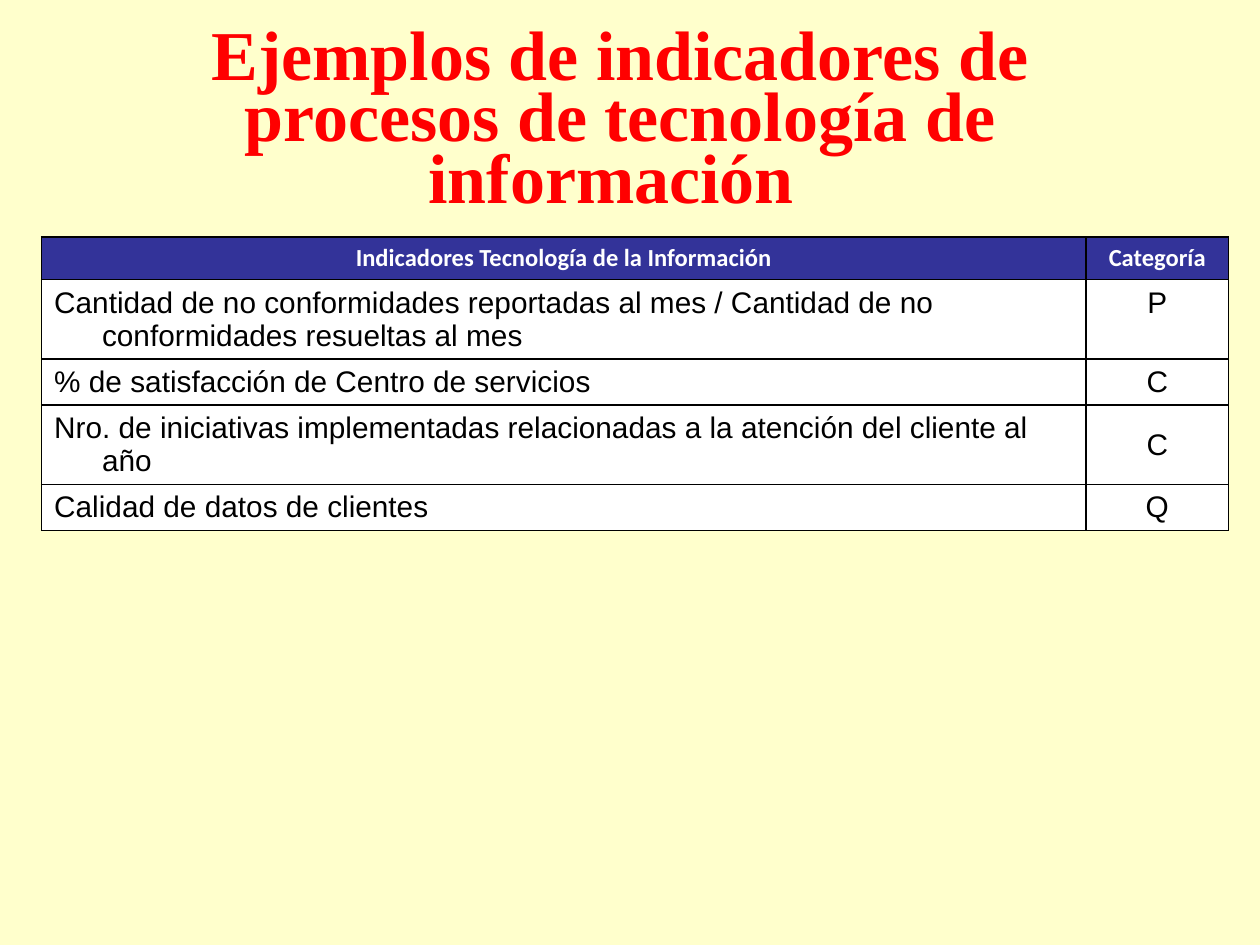
from lxml.etree import SubElement
from pptx import Presentation
from pptx.dml.color import RGBColor
from pptx.enum.text import MSO_ANCHOR, PP_ALIGN
from pptx.oxml.ns import qn
from pptx.util import Inches, Pt

COLORS = {
    "background": "FFFFCC",
    "title": "FF0000",
    "header": "333399",
    "header_text": "FFFFFF",
    "body": "FFFFFF",
    "body_text": "000000",
    "border": "000000",
}
HEADERS = ("Indicadores Tecnología de la Información", "Categoría")
INDICATORS = [
    ("Cantidad de no conformidades reportadas al mes / Cantidad de no "
     "conformidades resueltas al mes", "P"),
    ("% de satisfacción de Centro de servicios", "C"),
    ("Nro. de iniciativas implementadas relacionadas a la atención del cliente al año", "C"),
    ("Calidad de datos de clientes", "Q"),
]
COLUMN_WIDTHS = (8.29, 1.13)
ROW_HEIGHTS = (0.34, 0.63, 0.36, 0.63, 0.36)


def color(name):
    return RGBColor.from_string(COLORS[name])


def format_font(font, name, size, color_name, bold=False):
    font.name = name
    font.size = Pt(size)
    font.bold = bold
    font.color.rgb = color(color_name)


def add_title(page, text):
    box = page.shapes.add_textbox(Inches(0.98), Inches(0.44), Inches(7.88), Inches(1.08))
    frame = box.text_frame
    frame.word_wrap = True
    frame.vertical_anchor = MSO_ANCHOR.MIDDLE
    frame.text = text
    para = frame.paragraphs[0]
    para.alignment = PP_ALIGN.CENTER
    para.line_spacing = 0.73
    format_font(para.runs[0].font, "Times New Roman", 40, "title", bold=True)


def add_borders(cell):
    """Draw a thin line on all four sides; lines must precede the fill."""
    properties = cell._tc.get_or_add_tcPr()
    for side in ("a:lnL", "a:lnR", "a:lnT", "a:lnB"):
        line = SubElement(properties, qn(side), w=str(Pt(1)))
        fill = SubElement(line, qn("a:solidFill"))
        SubElement(fill, qn("a:srgbClr"), val=COLORS["border"])


def fill_cell(cell, text, is_header, centered, anchor):
    add_borders(cell)
    cell.fill.solid()
    cell.fill.fore_color.rgb = color("header" if is_header else "body")
    cell.vertical_anchor = anchor
    cell.text_frame.text = text
    para = cell.text_frame.paragraphs[0]
    para.alignment = PP_ALIGN.CENTER if centered else PP_ALIGN.LEFT
    hanging = Inches(0.38)
    properties = para._p.get_or_add_pPr()
    properties.set("marL", str(hanging))
    properties.set("indent", str(-hanging))
    font = para.runs[0].font
    if is_header:
        format_font(font, "Calibri", 14, "header_text", bold=True)
    else:
        format_font(font, "Arial", 17, "body_text")


def add_indicator_table(page):
    rows = [HEADERS, *INDICATORS]
    table = page.shapes.add_table(
        len(rows), len(HEADERS), Inches(0.33), Inches(1.88),
        Inches(sum(COLUMN_WIDTHS)), Inches(sum(ROW_HEIGHTS))).table
    for column, width in zip(table.columns, COLUMN_WIDTHS):
        column.width = Inches(width)
    for row, height in zip(table.rows, ROW_HEIGHTS):
        row.height = Inches(height)
    for i, texts in enumerate(rows):
        for j, text in enumerate(texts):
            is_header = i == 0
            is_category = j == 1
            middle = is_header or (is_category and i > 1)
            fill_cell(table.cell(i, j), text, is_header, is_header or is_category,
                      MSO_ANCHOR.MIDDLE if middle else MSO_ANCHOR.TOP)


def main():
    deck = Presentation()
    deck.slide_width, deck.slide_height = Inches(10), Inches(7.5)
    page = deck.slides.add_slide(deck.slide_layouts[6])
    page.background.fill.solid()
    page.background.fill.fore_color.rgb = color("background")
    add_indicator_table(page)
    add_title(page, "Ejemplos de indicadores de procesos de tecnología de información ")
    deck.save("out.pptx")


if __name__ == "__main__":
    main()
